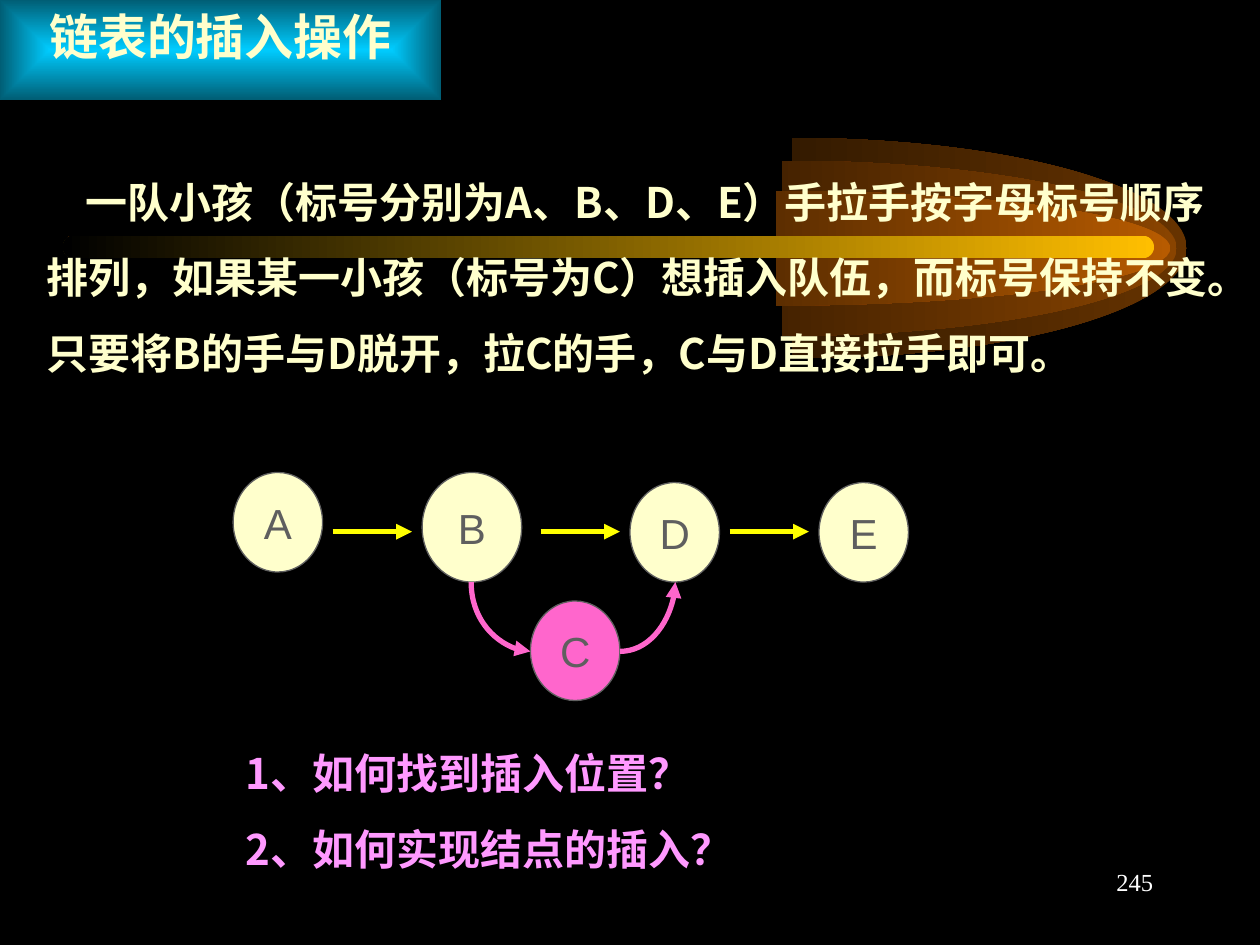
from dataclasses import dataclass

from lxml.etree import SubElement
from pptx import Presentation
from pptx.dml.color import RGBColor as Rgb
from pptx.enum.shapes import MSO_CONNECTOR as Link, MSO_SHAPE as Geo
from pptx.enum.text import MSO_ANCHOR as Anchor, PP_ALIGN as Align
from pptx.oxml.ns import qn
from pptx.util import Inches, Pt


@dataclass(frozen=True)
class Theme:
    night: str = "000000"
    cream: str = "FFFFCC"
    grey: str = "5F5F5F"
    pink: str = "FF66CC"
    lilac: str = "FF99FF"
    yellow: str = "FFFF00"
    gold: str = "FFBF00"
    white: str = "FFFFFF"
    cyan: str = "00CCFF"
    teal: str = "005E75"
    chinese: str = "Noto Sans CJK SC"
    label: str = "Arial"
    number: str = "Times New Roman"
    title_size: int = 28
    body_size: int = 24
    number_size: int = 14


class SlideBuilder:
    """Draws styled elements on the current slide."""

    def __init__(self, deck, theme):
        self.theme = theme
        self.slide = deck.slides.add_slide(deck.slide_layouts[6])
        self.slide.background.fill.solid()
        self.slide.background.fill.fore_color.rgb = Rgb.from_string(theme.night)

    def styled_run(self, paragraph, words, size, color, face, bold=False):
        run = paragraph.add_run()
        run.text = words
        font = run.font
        font.size, font.bold, font.name = Pt(size), bold, face
        font.color.rgb = Rgb.from_string(color)
        SubElement(run._r.get_or_add_rPr(), qn("a:ea")).set("typeface", face)

    def shape(self, geometry, box):
        form = self.slide.shapes.add_shape(geometry, *map(Inches, box))
        form.shadow.inherit = False
        form.line.fill.background()
        return form

    def gradient(self, geometry, box, start, end, adjustments=(), centred=False):
        form = self.shape(geometry, box)
        for index, value in enumerate(adjustments):
            form.adjustments[index] = value
        form.fill.gradient()
        form.fill.gradient_angle = 180
        for stop, color, position in zip(form.fill.gradient_stops, (start, end), (0, 1)):
            stop.color.rgb = Rgb.from_string(color)
            stop.position = position
        if centred:
            grad = form._element.spPr.find(qn("a:gradFill"))
            grad.remove(grad.find(qn("a:lin")))
            rings = SubElement(grad, qn("a:path"), {"path": "rect"})
            sides = dict.fromkeys("ltrb", "50000")
            SubElement(rings, qn("a:fillToRect"), sides)
        return form

    def title(self, box, words):
        t = self.theme
        frame = self.gradient(Geo.RECTANGLE, box, t.cyan, t.teal, centred=True).text_frame
        frame.word_wrap = False
        frame.vertical_anchor = Anchor.TOP
        frame.paragraphs[0].alignment = Align.CENTER
        self.styled_run(frame.paragraphs[0], words, t.title_size, t.cream, t.chinese, True)

    def text(self, box, lines, size, color, face, bold=False, align=Align.LEFT,
             spacing=None, gap=0, indent=0):
        frame = self.slide.shapes.add_textbox(*map(Inches, box)).text_frame
        frame.word_wrap = True
        for index, words in enumerate(lines):
            paragraph = frame.add_paragraph() if index else frame.paragraphs[0]
            paragraph.alignment = align
            if spacing:
                paragraph.line_spacing = spacing
            if index:
                paragraph.space_before = Pt(gap)
            if indent:
                paragraph._p.get_or_add_pPr().set("indent", str(Inches(indent)))
            self.styled_run(paragraph, words, size, color, face, bold)

    def node(self, name, box, color):
        t = self.theme
        circle = self.shape(Geo.OVAL, box)
        circle.fill.solid()
        circle.fill.fore_color.rgb = Rgb.from_string(color)
        circle.line.color.rgb = Rgb.from_string(t.grey)
        circle.line.width = Pt(0.75)
        frame = circle.text_frame
        frame.word_wrap = False
        frame.vertical_anchor = Anchor.MIDDLE
        frame.paragraphs[0].alignment = Align.CENTER
        self.styled_run(frame.paragraphs[0], name, t.body_size, t.grey, t.label)

    def arrow(self, start, end, color, kind=Link.STRAIGHT):
        link = self.slide.shapes.add_connector(kind, *map(Inches, (*start, *end)))
        link.line.color.rgb = Rgb.from_string(color)
        link.line.width = Pt(3)
        properties = link._element.spPr
        SubElement(properties.find(qn("a:ln")), qn("a:tailEnd"), {"type": "triangle"})
        SubElement(properties, qn("a:effectLst"))
        return link

    def bend(self, start, end, color, downward=False):
        if downward:
            (x1, y1), (x2, y2) = start, end
            mid_x, mid_y = (x1 + x2) / 2, (y1 + y2) / 2
            half_w, half_h = (y2 - y1) / 2, (x2 - x1) / 2
            start = mid_x + half_w, mid_y - half_h
            end = mid_x - half_w, mid_y + half_h
        link = self.arrow(start, end, color, Link.CURVE)
        properties = link._element.spPr
        properties.find(qn("a:prstGeom")).set("prst", "curvedConnector2")
        if downward:
            properties.find(qn("a:xfrm")).set("rot", str(270 * 60000))


def main():
    theme = Theme()
    deck = Presentation()
    deck.slide_width, deck.slide_height = Inches(10), Inches(7.5)
    page = SlideBuilder(deck, theme)

    comet_axis = 1.97
    for left, height, glow in ((3.16, 1.75, "663300"), (3.08, 1.39, "894400"),
                               (3.03, 0.91, "B75B00")):
        page.gradient(Geo.ARC, (left, comet_axis - height / 2, 6.26, height),
                      glow, theme.night, (162, 54))
    page.gradient(Geo.ROUNDED_RECTANGLE, (0.5, 1.87, 8.66, 0.18),
                  theme.gold, theme.night, (0.5,))

    story = ("一队小孩（标号分别为A、B、D、E）手拉手按字母标号顺序排列，"
             "如果某一小孩（标号为C）想插入队伍，而标号保持不变。"
             "只要将B的手与D脱开，拉C的手，C与D直接拉手即可。")
    page.text((0.27, 1.15, 9.45, 2.5), [story], theme.body_size, theme.cream,
              theme.chinese, True, spacing=1.5, indent=0.31)

    children = {"A": (1.85, 3.75, 0.71, 0.79), "B": (3.35, 3.75, 0.79, 0.87),
                "C": (4.21, 4.77, 0.71, 0.79), "D": (5, 3.83, 0.71, 0.79),
                "E": (6.5, 3.83, 0.71, 0.79)}
    for name, box in children.items():
        page.node(name, box, theme.pink if name == "C" else theme.cream)
    for left in (2.64, 4.29, 5.79):
        page.arrow((left, 4.22), (left + 0.63, 4.22), theme.yellow)
    page.bend((3.74, 4.62), (4.21, 5.17), theme.pink, downward=True)
    page.bend((4.92, 5.17), (5.36, 4.62), theme.pink)

    questions = ["1、如何找到插入位置？", "2、如何实现结点的插入？"]
    page.text((1.85, 5.88, 5.59, 1.11), questions, theme.body_size, theme.lilac,
              theme.chinese, True, gap=15)
    page.title((0, 0, 3.5, 0.79), "链表的插入操作")
    page.text((7.17, 6.83, 2.08, 0.5), ["245"], theme.number_size, theme.white,
              theme.number, align=Align.RIGHT)
    deck.save("out.pptx")


if __name__ == "__main__":
    main()
